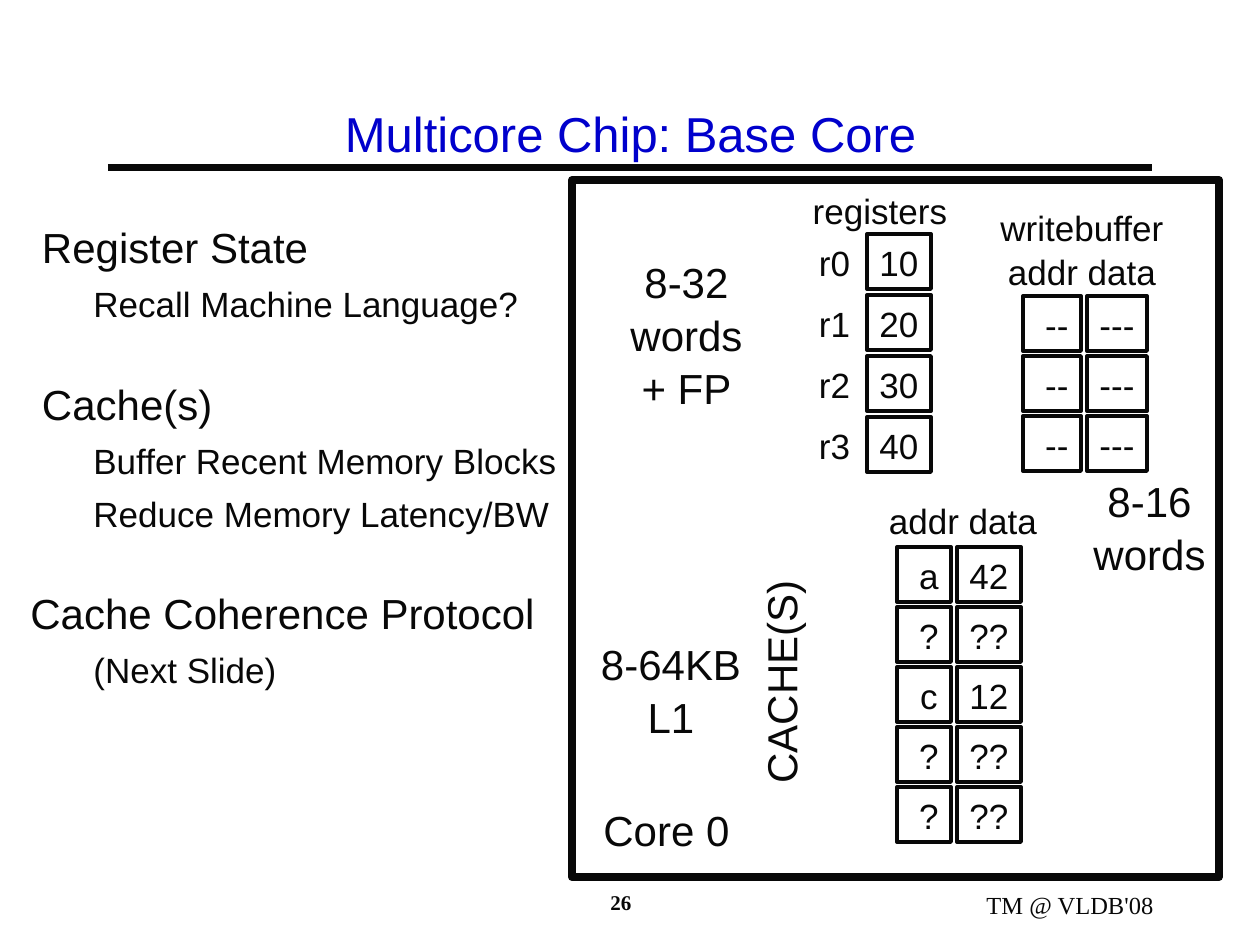
from pptx import Presentation
from pptx.dml.color import RGBColor
from pptx.enum.shapes import MSO_CONNECTOR, MSO_SHAPE
from pptx.enum.text import MSO_ANCHOR, PP_ALIGN
from pptx.oxml.ns import qn
from pptx.util import Emu, Pt
from lxml.etree import SubElement

COLORS = {"ink": "080808", "title": "0000CC"}
ALIGN = {"left": PP_ALIGN.LEFT, "center": PP_ALIGN.CENTER, "right": PP_ALIGN.RIGHT}
ANCHOR = {"top": MSO_ANCHOR.TOP, "middle": MSO_ANCHOR.MIDDLE}

TITLE = "Multicore Chip: Base Core"
OUTLINE = [
    (" Register State", ["Recall Machine Language?"]),
    (" Cache(s)", ["Buffer Recent Memory Blocks", "Reduce Memory Latency/BW"]),
    ("Cache Coherence Protocol", ["(Next Slide)"]),
]
REGISTERS = [("r0", "10"), ("r1", "20"), ("r2", "30"), ("r3", "40")]
WRITEBUFFER = [(" --", "---")] * 3
CACHE = [(" a", "42"), (" ?", "??"), (" c", "12"), (" ?", "??"), (" ?", "??")]

GRIDS = [
    (REGISTERS, 234, 61, (806, 57, False), (867, 64, True)),
    (WRITEBUFFER, 296, 60, (1023, 58, True), (1087, 60, True)),
    (CACHE, 547, 60, (897, 54, True), (957, 64, True)),
]
CELL_HEIGHT = 55

LABELS = [
    ("registers", (790, 181, 180, 55), {"size": 20}),
    ("writebuffer\vaddr data", (981, 198, 202, 97), {"size": 20}),
    ("addr data", (868, 491, 190, 55), {"size": 20}),
    ("CACHE(S)", (747, 543, 76, 278), {"vertical": True}),
    ("Core 0", (591, 796, 226, 63), {"align": "left"}),
    ("8-64KB L1", (586, 630, 170, 113), {}),
    ("8-16 words", (1068, 467, 163, 113), {}),
    ("8-32 words\v+ FP", (605, 248, 163, 164), {}),
    ("TM @ VLDB'08", (798, 882, 368, 42),
     {"size": 14, "font": "Times New Roman", "align": "right"}),
    ("26", (598, 882, 179, 42),
     {"size": 12, "font": "Times New Roman", "align": "left", "bold": True}),
]


def px(value):
    return Emu(round(value * 914400 / 126))


def color(name):
    return RGBColor.from_string(COLORS[name])


def format_para(para, text, size=24, font="Arial", ink="ink", align="center",
                bold=False, before=0, indent=0, spacing=1.05):
    para.text = text
    para.alignment = ALIGN[align]
    para.space_before = Pt(before)
    para.line_spacing = spacing
    if indent:
        para._p.get_or_add_pPr().set("marL", str(px(indent)))
    for span in para.runs:
        span.font.size = Pt(size)
        span.font.name = font
        span.font.bold = bold
        span.font.color.rgb = color(ink)


def put_text(shape, text, anchor="top", wrap=True, vertical=False, **style):
    frame = shape.text_frame
    frame.word_wrap = wrap
    frame.vertical_anchor = ANCHOR[anchor]
    if vertical:
        frame._txBody.bodyPr.set("vert", "vert270")
        frame.margin_left = frame.margin_right = px(6)
        frame.margin_top = frame.margin_bottom = px(13)
    format_para(frame.paragraphs[0], text, **style)


def add_text(page, text, place, **style):
    box = page.shapes.add_textbox(*map(px, place))
    put_text(box, text, **style)
    return box


def add_box(page, place, width):
    box = page.shapes.add_shape(MSO_SHAPE.RECTANGLE, *map(px, place))
    box.shadow.inherit = False
    box.fill.background()
    box.line.color.rgb = color("ink")
    box.line.width = Pt(width)
    return box


def add_title(page):
    title = page.shapes.title
    title.left, title.top, title.width, title.height = map(px, (95, 84, 1071, 95))
    put_text(title, TITLE, anchor="middle", size=28, ink="title")
    rule = page.shapes.add_connector(MSO_CONNECTOR.STRAIGHT, *map(px, (108, 168, 1152, 168)))
    rule.line.color.rgb = color("ink")
    rule.line.width = Pt(4)
    SubElement(rule._element.spPr, qn("a:effectLst"))


def add_outline(page):
    box = page.shapes.add_textbox(*map(px, (18, 213, 568, 658)))
    frame = box.text_frame
    frame.word_wrap = True
    for index, (heading, points) in enumerate(OUTLINE):
        para = frame.add_paragraph() if index else frame.paragraphs[0]
        format_para(para, heading, align="left", before=29 if index else 0)
        for point in points:
            format_para(frame.add_paragraph(), point, size=20, align="left",
                        before=5, indent=63)


def add_grid(page, rows, top, pitch, *columns):
    for index, row in enumerate(rows):
        for text, (left, width, bordered) in zip(row, columns):
            place = (left, top + index * pitch, width, CELL_HEIGHT)
            if bordered:
                cell = add_box(page, place, 2.25)
            else:
                cell = page.shapes.add_textbox(*map(px, place))
            put_text(cell, text, anchor="middle", wrap=False, size=20)


def main():
    deck = Presentation()
    deck.slide_width, deck.slide_height = px(1260), px(945)
    page = deck.slides.add_slide(deck.slide_layouts[5])
    add_title(page)
    add_box(page, (572, 180, 647, 697), 4.5)
    add_outline(page)
    for grid in GRIDS:
        add_grid(page, *grid)
    for text, place, style in LABELS:
        add_text(page, text, place, **style)
    deck.save("out.pptx")


if __name__ == "__main__":
    main()
